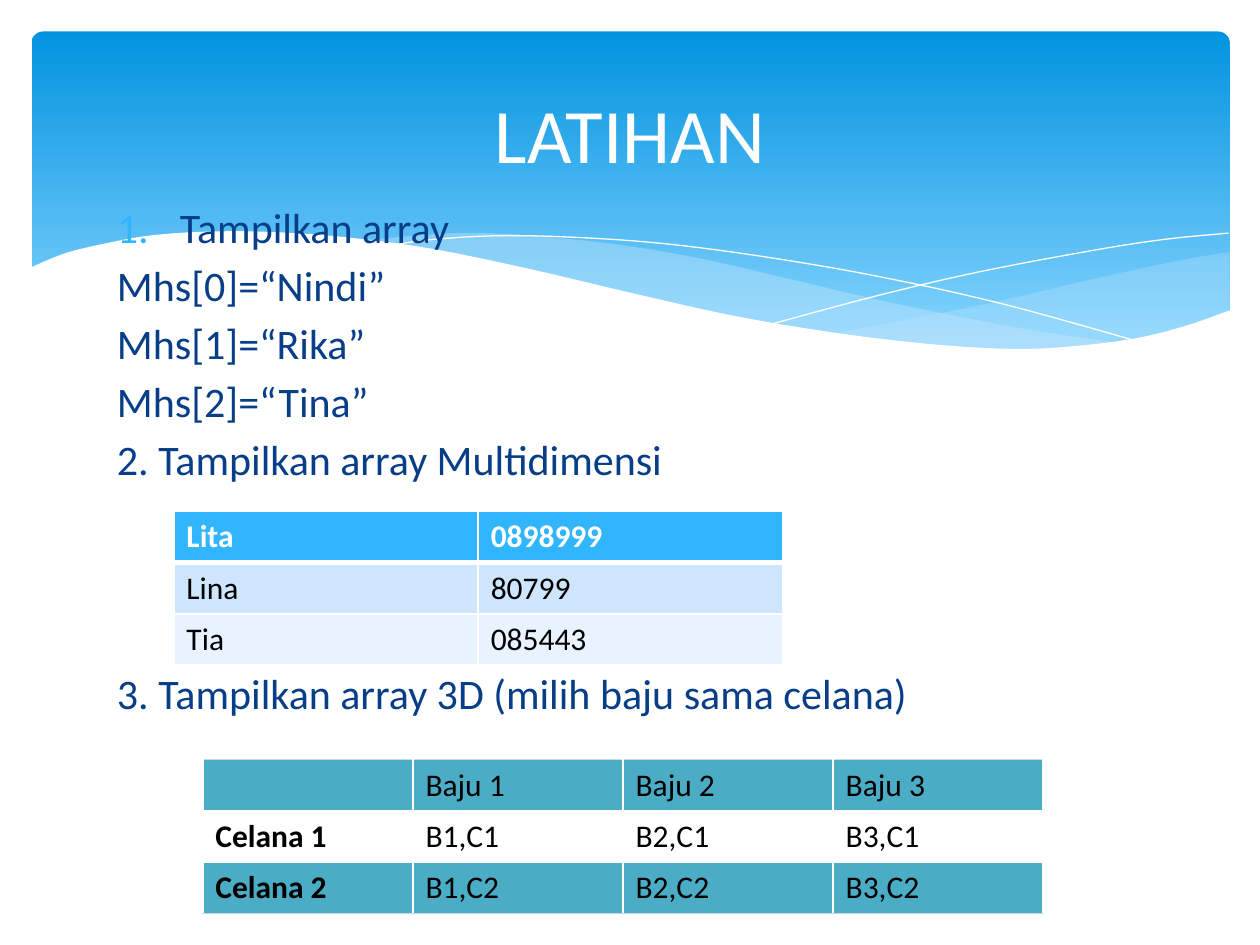
from lxml import etree
from pptx import Presentation
from pptx import util as u
from pptx.dml.color import RGBColor
from pptx.enum import shapes, text
from pptx.oxml import parse_xml
from pptx.oxml.ns import qn

NS = 'xmlns:a="http://schemas.openxmlformats.org/drawingml/2006/main"'
FONT = "Calibri"
WHITE, BLACK, NAVY, SKY, TEAL = "FFFFFF", "000000", "073E87", "31B6FD", "4BACC6"
PALE = "C6E7FC"


def color(hex_text):
    return RGBColor.from_string(hex_text)


def box(left, top, width, height):
    return [u.Inches(v) for v in (left, top, width, height)]


def write(p, words, size=18, c=BLACK, bold=False, align=None, before=None):
    p.alignment = align
    if before is not None:
        p.space_before = u.Pt(before)
    r = p.add_run()
    r.text = words
    r.font.name, r.font.size, r.font.bold = FONT, u.Pt(size), bold
    r.font.color.rgb = color(c)


def smooth(points, steps=6):
    """Points of a Catmull-Rom curve through the given points."""
    ends = [points[0], *points, points[-1]]
    curve = [points[0]]
    for a, b, c, d in zip(ends, ends[1:], ends[2:], ends[3:]):
        for i in range(1, steps + 1):
            t = i / steps
            curve.append(tuple(
                (2 * q + (r - o) * t + (2 * o - 5 * q + 4 * r - s) * t ** 2
                 + (3 * q - o - 3 * r + s) * t ** 3) / 2
                for o, q, r, s in zip(a, b, c, d)))
    return curve


def outline(s, points, fill=None, opacity=100, line=None):
    pts = [(u.Inches(x), u.Inches(y)) for x, y in points]
    builder = s.shapes.build_freeform(*pts[0])
    builder.add_line_segments(pts[1:], close=fill is not None)
    sp = builder.convert_to_shape()
    sp.shadow.inherit = False
    if fill:
        sp.fill.solid()
        sp.fill.fore_color.rgb = color(fill)
        if opacity < 100:
            clr = sp.fill._xPr.find(".//" + qn("a:srgbClr"))
            etree.SubElement(clr, qn("a:alpha"), val=str(opacity * 1000))
    else:
        sp.fill.background()
    if line:
        sp.line.color.rgb = color(line)
        sp.line.width = u.Pt(0)
    else:
        sp.line.fill.background()


def banner(s, area):
    # Rounded gradient panel
    sp = s.shapes.add_shape(shapes.MSO_SHAPE.ROUNDED_RECTANGLE, *area)
    sp.adjustments[0] = 0.034
    sp.shadow.inherit = False
    sp.line.fill.background()
    sp.fill.gradient()
    sp.fill.gradient_angle = 270
    for stop, (at, c) in zip(sp.fill.gradient_stops, [(0, "0293E0"), (0.9, "83D3FE")]):
        stop.position = at
        stop.color.rgb = color(c)

    # Translucent waves
    right_top = [(9.76, 2), (9.35, 2.07), (8.61, 2.23), (7.79, 2.42), (6.61, 2.65)]
    right_low = [(6.61, 2.65), (7.19, 2.72), (7.69, 2.77), (8.14, 2.78), (8.63, 2.75),
                 (9.05, 2.69), (9.42, 2.59), (9.76, 2.47)]
    outline(s, smooth(right_top) + smooth(right_low), PALE, 29)
    middle_top = [(8.93, 2.73), (8.07, 2.6), (7.06, 2.4), (6.29, 2.22), (5.55, 2.05),
                  (4.89, 1.94), (4.2, 1.87), (3.61, 1.85), (2.86, 1.91)]
    middle_low = [(2.86, 1.91), (3.62, 2.03), (4.49, 2.22), (5.3, 2.4), (6.01, 2.55),
                  (6.8, 2.68), (7.48, 2.76), (8.07, 2.78), (8.57, 2.77), (8.93, 2.73)]
    outline(s, smooth(middle_top) + smooth(middle_low), PALE, 40)

    # Thin white curves
    falling = [(3.09, 1.95), (3.44, 1.9), (4.01, 1.87), (4.69, 1.89), (5.33, 1.94),
               (6.08, 2.04), (6.95, 2.19), (7.95, 2.41), (9.07, 2.72)]
    rising = [(6.13, 2.57), (6.95, 2.35), (7.76, 2.16), (8.66, 1.99), (9.24, 1.9), (9.75, 1.85)]
    for curve in (falling, rising):
        outline(s, smooth(curve), line=WHITE)

    # White wave that cuts off the panel
    edge = [(9.77, 2.46), (9.4, 2.59), (8.99, 2.69), (8.5, 2.75), (8.09, 2.77), (7.61, 2.75),
            (7.08, 2.7), (6.48, 2.62), (5.79, 2.5), (5.03, 2.33), (4.18, 2.13), (3.4, 1.97),
            (2.71, 1.88), (2.11, 1.84), (1.61, 1.84), (1.19, 1.87), (0.85, 1.93),
            (0.52, 2.01), (0.23, 2.13)]
    outline(s, smooth(edge) + [(0.23, 3.29), (9.77, 3.29)], WHITE)


def text_frame(s, area, anchor):
    tf = s.shapes.add_textbox(*area).text_frame
    tf.word_wrap = True
    tf.vertical_anchor = anchor
    return tf


def title(s, area):
    tf = text_frame(s, area, text.MSO_ANCHOR.MIDDLE)
    write(tf.paragraphs[0], "LATIHAN", 44, WHITE, align=text.PP_ALIGN.CENTER)


def exercises(s, area):
    tf = text_frame(s, area, text.MSO_ANCHOR.TOP)
    p = tf.paragraphs[0]
    pPr = p._p.get_or_add_pPr()
    pPr.set("marL", str(u.Inches(0.5)))
    pPr.set("indent", str(u.Inches(-0.5)))
    pPr.append(parse_xml(f'<a:buClr {NS}><a:srgbClr val="{SKY}"/></a:buClr>'))
    pPr.append(parse_xml(f'<a:buFont {NS} typeface="{FONT}"/>'))
    pPr.append(parse_xml(f'<a:buAutoNum {NS} type="arabicPeriod"/>'))
    write(p, "Tampilkan array", 24, NAVY)
    # The last item leaves room for the phone table
    for words, before in [
        ("Mhs[0]=“Nindi”", 4.4),
        ("Mhs[1]=“Rika”", 4.4),
        ("Mhs[2]=“Tina”", 4.4),
        ("2. Tampilkan array Multidimensi", 4.4),
        ("3. Tampilkan array 3D (milih baju sama celana)", 105),
    ]:
        write(tf.add_paragraph(), words, 24, NAVY, before=before)


def borders(cell, **sides):
    tcPr = cell._tc.get_or_add_tcPr()
    for i, side in enumerate("LRTB"):
        c, width = sides.get(side, (WHITE, 1))
        tcPr.insert(i, parse_xml(
            f'<a:ln{side} {NS} w="{u.Pt(width)}"><a:solidFill><a:srgbClr val="{c}"/>'
            f'</a:solidFill></a:ln{side}>'))


def grid(s, area, rows, fills, format_cell, edges):
    """Table with one fill per row; edges gives the special borders of a row."""
    tbl = s.shapes.add_table(len(rows), len(rows[0]), *area).table
    for i, row in enumerate(rows):
        for j, words in enumerate(row):
            cell = tbl.cell(i, j)
            cell.fill.solid()
            cell.fill.fore_color.rgb = color(fills[i])
            borders(cell, **edges.get(i, {}))
            if words:
                write(cell.text_frame.paragraphs[0], words, **format_cell(i, j))


def phone_table(s, area):
    rows = [("Lita", "0898999"), ("Lina", "80799"), ("Tia", "085443")]
    rule = (WHITE, 3)
    grid(s, area, rows, [SKY, "CEE5FE", "E8F3FF"],
         lambda i, j: dict(bold=i == 0, c=BLACK if i else WHITE),
         {0: dict(B=rule), 1: dict(T=rule)})


def outfit_table(s, area):
    rows = [["", *(f"Baju {b}" for b in (1, 2, 3))]]
    rows += [[f"Celana {c}", *(f"B{b},C{c}" for b in (1, 2, 3))] for c in (1, 2)]
    rule = ("C1DBE5", 0.75)
    grid(s, area, rows, [TEAL, WHITE, TEAL],
         lambda i, j: dict(bold=j == 0), {0: dict(T=rule), 2: dict(B=rule)})


def main():
    prs = Presentation()
    prs.slide_width, prs.slide_height = u.Inches(10), u.Inches(7.5)
    s = prs.slides.add_slide(prs.slide_layouts[6])
    banner(s, box(0.25, 0.25, 9.51, 2.7))
    exercises(s, box(0.83, 1.55, 8.1, 5.43))
    title(s, box(0.5, 0.37, 9, 1.37))
    phone_table(s, box(1.38, 4.06, 4.83, 1.22))
    outfit_table(s, box(1.61, 6.03, 6.67, 1.22))
    prs.save("out.pptx")


if __name__ == "__main__":
    main()
